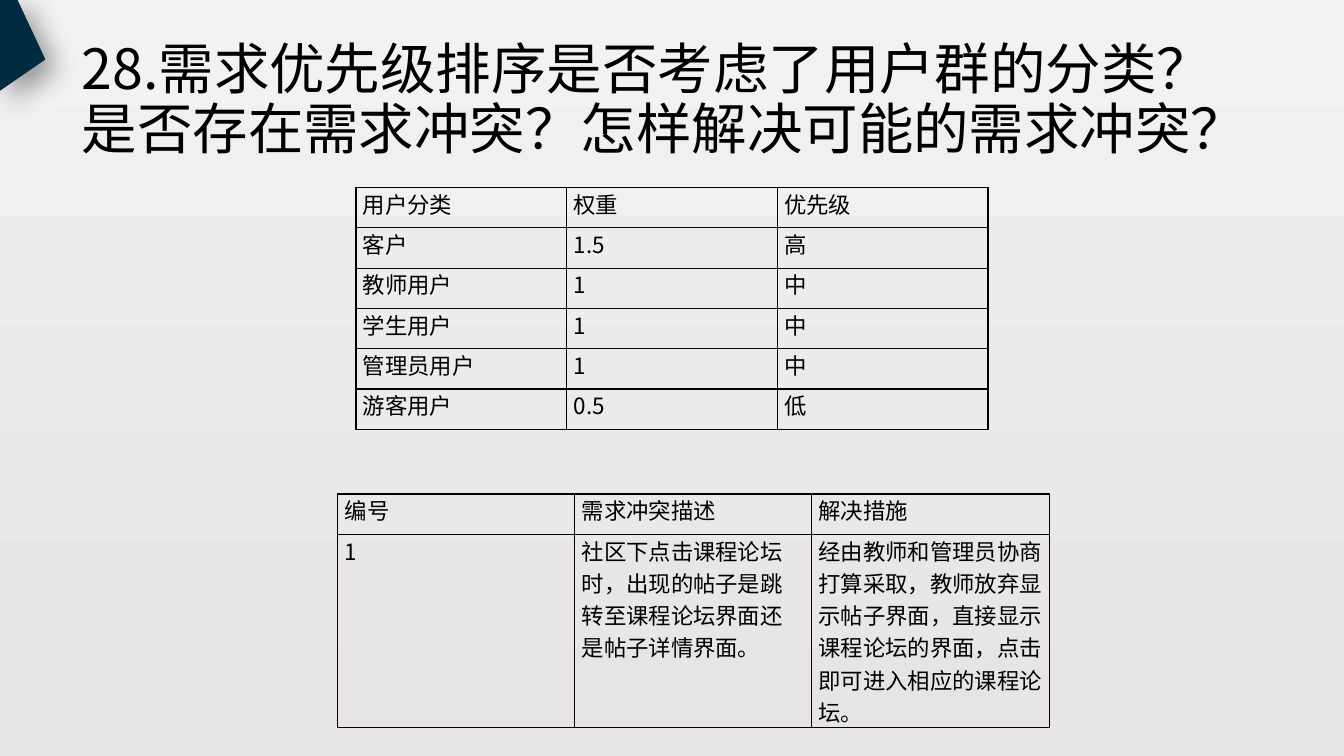
"""Build a slide on user priorities and requirement conflicts."""
from lxml.etree import SubElement
from pptx import Presentation
from pptx.dml.color import RGBColor
from pptx.enum.text import MSO_ANCHOR, MSO_AUTO_SIZE, PP_ALIGN
from pptx.oxml import parse_xml
from pptx.oxml.ns import nsdecls, qn
from pptx.util import Inches, Pt

THEME = {
    "face": "Noto Sans CJK SC", "title": 39.6, "body": 16,
    "ink": "000000", "rule": "080000", "navy": "002B41",
    "back": ("F2F2F2", "E6E4E4"),
}


def style(para, size):
    """Set the face, size and colour of each run."""
    for run in para.runs:
        for key, value in {"name": THEME["face"], "size": Pt(size)}.items():
            setattr(run.font, key, value)
        run.font.color.rgb = RGBColor.from_string(THEME["ink"])
        SubElement(run.font._element, qn("a:ea"), typeface=THEME["face"])


def grid(slide, left, top, cols, rows, data):
    """Add a ruled table without fills."""
    frame = slide.shapes.add_table(
        len(rows), len(cols), Inches(left), Inches(top),
        Inches(sum(cols)), Inches(sum(rows)))
    table = frame.table
    for flag in ("first_row", "horz_banding"):
        setattr(table, flag, False)
    for col, width in zip(table.columns, cols):
        col.width = Inches(width)
    for row, height, texts in zip(table.rows, rows, data):
        row.height = Inches(height)
        for cell, text in zip(row.cells, texts):
            cell.text = text
            style(cell.text_frame.paragraphs[0], THEME["body"])
            for side, gap in {"left": 0.07, "right": 0.07, "top": 0, "bottom": 0}.items():
                setattr(cell, "margin_" + side, Inches(gap))
            props = cell._tc.get_or_add_tcPr()
            for side in "LRTB":
                line = SubElement(props, qn("a:ln" + side), w=str(Pt(1)))
                fill = SubElement(line, qn("a:solidFill"))
                SubElement(fill, qn("a:srgbClr"), val=THEME["rule"])
            cell.fill.background()


deck = Presentation()
deck.slide_width, deck.slide_height = Inches(13.33), Inches(7.5)
slide = deck.slides.add_slide(deck.slide_layouts[5])

back = slide.background.fill
back.gradient()
back.gradient_angle = 270
for stop, tint in zip(back.gradient_stops, THEME["back"]):
    stop.color.rgb = RGBColor.from_string(tint)

title = slide.shapes.title
for key, value in {"left": 0.71, "top": 0.28, "width": 11.5, "height": 1.45}.items():
    setattr(title, key, Inches(value))
frame = title.text_frame
frame.text = "28.需求优先级排序是否考虑了用户群的分类？是否存在需求冲突？怎样解决可能的需求冲突？"
for key, value in {"vertical_anchor": MSO_ANCHOR.MIDDLE, "word_wrap": True,
                   "auto_size": MSO_AUTO_SIZE.NONE}.items():
    setattr(frame, key, value)
head = frame.paragraphs[0]
for key, value in {"alignment": PP_ALIGN.LEFT, "line_spacing": 0.9}.items():
    setattr(head, key, value)
style(head, THEME["title"])

pen = slide.shapes.build_freeform(Inches(0.17), Inches(-0.01))
pen.add_line_segments([(Inches(x), Inches(y)) for x, y in
                       ((0, -0.01), (0, 0.9), (0.45, 0.59))], close=True)
corner = pen.convert_to_shape()
corner.fill.solid()
corner.fill.fore_color.rgb = RGBColor.from_string(THEME["navy"])
corner.line.fill.background()
corner._element.spPr.append(parse_xml(
    f'<a:effectLst {nsdecls("a")}><a:outerShdw blurRad="{Pt(20)}" dist="{Pt(10)}" '
    f'dir="{45 * 60000}" algn="tl" rotWithShape="0"><a:srgbClr val="{THEME["ink"]}">'
    '<a:alpha val="40000"/></a:srgbClr></a:outerShdw></a:effectLst>'))

grid(slide, 3.53, 1.86, [2.09] * 3, [0.4] * 6, [
    ("用户分类", "权重", "优先级"),
    ("客户", "1.5", "高"),
    ("教师用户", "1", "中"),
    ("学生用户", "1", "中"),
    ("管理员用户", "1", "中"),
    ("游客用户", "0.5", "低"),
])
grid(slide, 3.35, 4.9, [2.35, 2.35, 2.36], [0.4, 1.75], [
    ("编号", "需求冲突描述", "解决措施"),
    ("1", "社区下点击课程论坛时，出现的帖子是跳转至课程论坛界面还是帖子详情界面。",
     "经由教师和管理员协商打算采取，教师放弃显示帖子界面，直接显示课程论坛的界面，点击即可进入相应的课程论坛。"),
])

deck.save("out.pptx")
